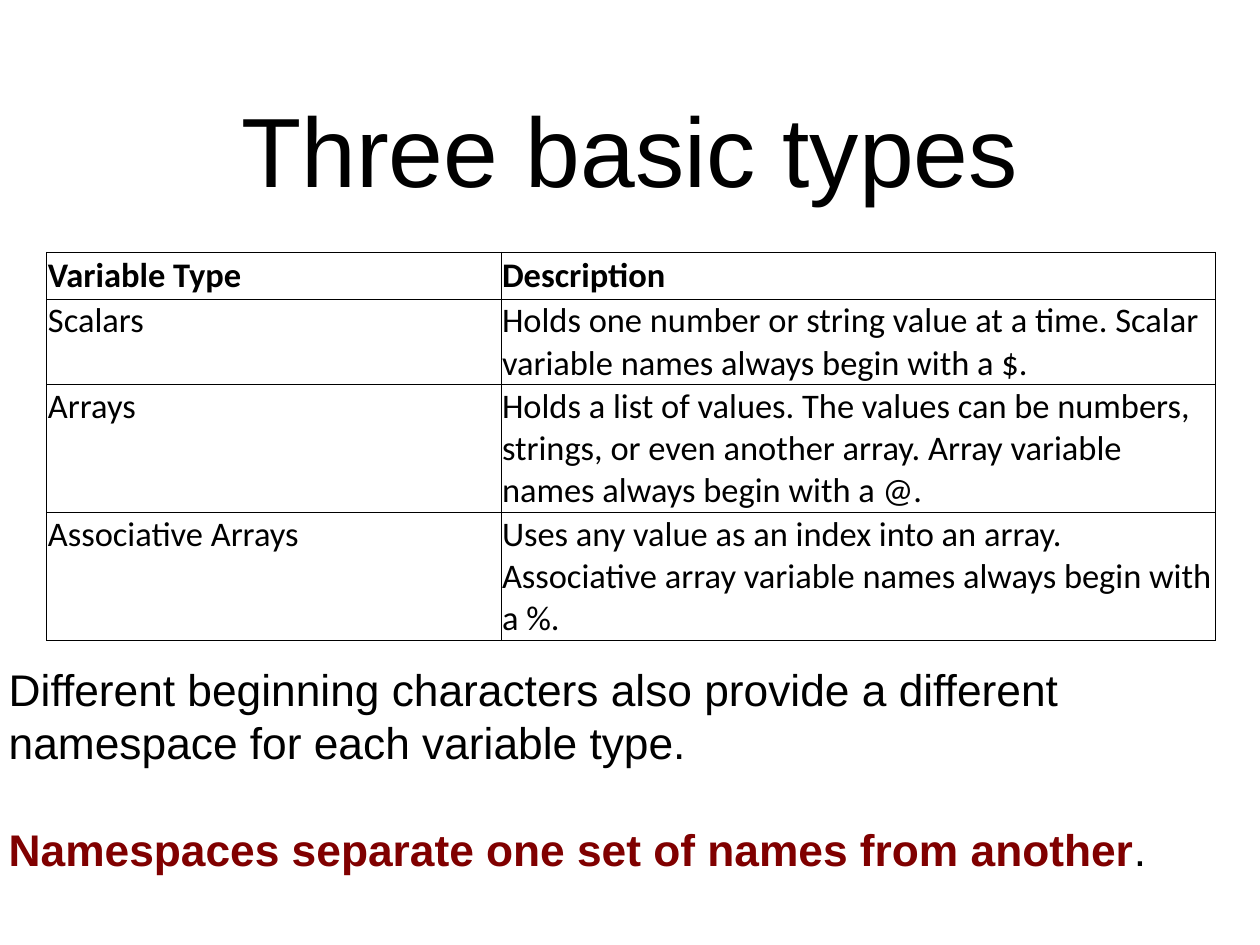
from lxml.etree import SubElement
from pptx import Presentation
from pptx.dml.color import RGBColor
from pptx.enum.text import MSO_ANCHOR, MSO_AUTO_SIZE, PP_ALIGN
from pptx.oxml.ns import qn
from pptx.util import Pt

BLACK = RGBColor(0, 0, 0)
MAROON = RGBColor(0x80, 0, 0)


def set_font(font, name, size, bold=False):
    font.name = name
    font.size = Pt(size)
    font.bold = bold
    font.color.rgb = BLACK


def add_cell_borders(cell):
    properties = cell._tc.get_or_add_tcPr()
    for position, side in enumerate(("a:lnL", "a:lnR", "a:lnT", "a:lnB")):
        line = SubElement(properties, qn(side), w=str(Pt(0.5)))
        fill = SubElement(line, qn("a:solidFill"))
        SubElement(fill, qn("a:srgbClr"), val=str(BLACK))
        properties.insert(position, line)  # borders come before the cell fill


presentation = Presentation()
presentation.slide_width = Pt(1024)
presentation.slide_height = Pt(768)
slide = presentation.slides.add_slide(presentation.slide_layouts[5])

# Title
title = slide.shapes.title
title.left, title.top, title.width, title.height = Pt(75), Pt(35), Pt(874), Pt(170)
frame = title.text_frame
frame.text = "Three basic types"
frame.auto_size = MSO_AUTO_SIZE.NONE
frame.vertical_anchor = MSO_ANCHOR.MIDDLE
frame.margin_left = frame.margin_right = frame.margin_top = frame.margin_bottom = 0
frame.paragraphs[0].alignment = PP_ALIGN.CENTER
set_font(frame.paragraphs[0].font, "Arial", 80)

# Table of variable types
variable_types = [
    ("Variable Type", "Description"),
    ("Scalars", "Holds one number or string value at a time. "
     "Scalar variable names always begin with a $."),
    ("Arrays", "Holds a list of values. The values can be numbers, strings, "
     "or even another array. Array variable names always begin with a @."),
    ("Associative Arrays", "Uses any value as an index into an array. "
     "Associative array variable names always begin with a %."),
]
column_widths = [369, 581]
row_heights = [38, 69, 104, 103]
table = slide.shapes.add_table(
    len(row_heights), len(column_widths), Pt(38), Pt(205),
    Pt(sum(column_widths)), Pt(sum(row_heights))).table
table.horz_banding = False
for column, width in zip(table.columns, column_widths):
    column.width = Pt(width)
for row_number, (row, height) in enumerate(zip(table.rows, row_heights)):
    row.height = Pt(height)
    is_header = row_number == 0
    for cell, text in zip(row.cells, variable_types[row_number]):
        cell.text = text
        cell.margin_left = cell.margin_right = cell.margin_top = Pt(1)
        cell.margin_bottom = 0
        cell.vertical_anchor = MSO_ANCHOR.MIDDLE if is_header else MSO_ANCHOR.TOP
        cell.fill.background()
        add_cell_borders(cell)
        set_font(cell.text_frame.paragraphs[0].font, "Calibri", 28, is_header)

# Remarks on namespaces
remarks = slide.shapes.add_textbox(0, Pt(534), Pt(1024), Pt(181))
frame = remarks.text_frame
frame.word_wrap = True
frame.text = ("Different beginning characters also provide a different "
              "namespace for each variable type.")
conclusion = frame.add_paragraph()
conclusion.space_before = Pt(43.5)
for paragraph in frame.paragraphs:
    paragraph.line_spacing = Pt(43.5)
    set_font(paragraph.font, "Arial", 36)
emphasis = conclusion.add_run()
emphasis.text = "Namespaces separate one set of names from another"
emphasis.font.bold = True
emphasis.font.color.rgb = MAROON
conclusion.add_run().text = "."

presentation.save("out.pptx")
